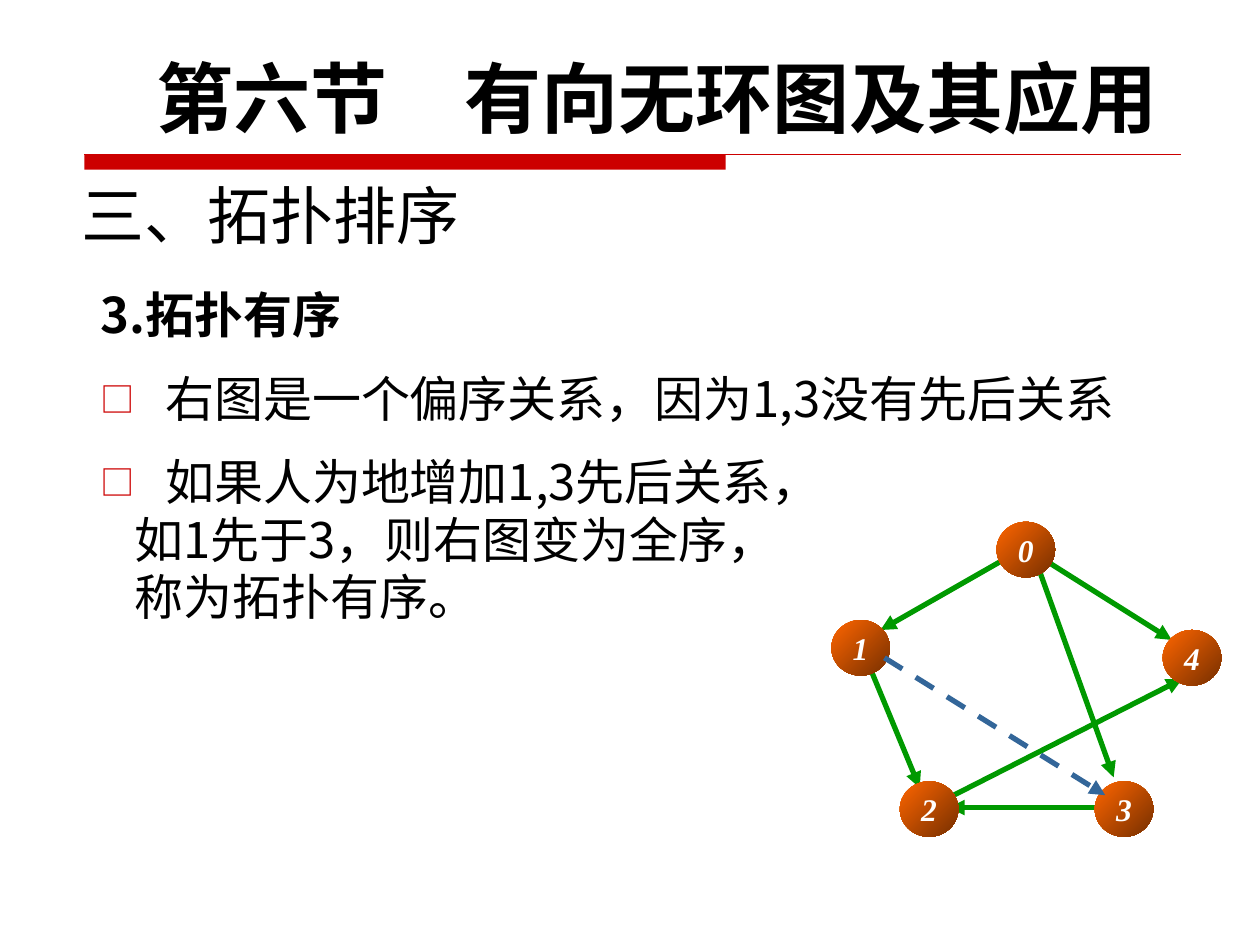
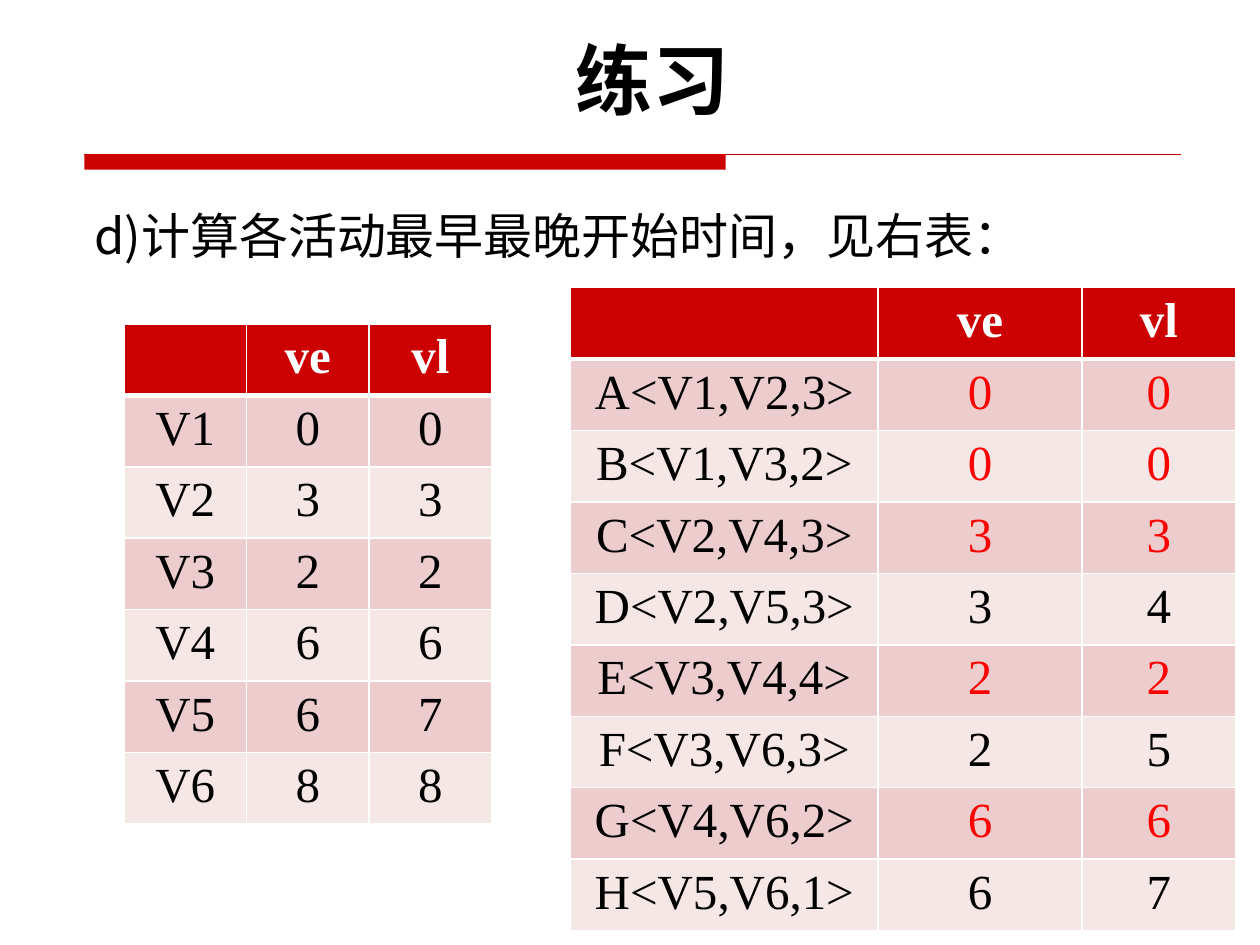
import pptx
import pptx.dml.color
import pptx.enum.dml
import pptx.enum.shapes
import pptx.enum.text
import pptx.oxml
import pptx.oxml.ns
import pptx.util

Cm = pptx.util.Cm
Pt = pptx.util.Pt
RGBColor = pptx.dml.color.RGBColor
Anchor = pptx.enum.text.MSO_ANCHOR
Align = pptx.enum.text.PP_ALIGN
Connector = pptx.enum.shapes.MSO_CONNECTOR
Shape = pptx.enum.shapes.MSO_SHAPE

BLACK = RGBColor(0x00, 0x00, 0x00)
WHITE = RGBColor(0xFF, 0xFF, 0xFF)
RED = RGBColor(0xCC, 0x00, 0x00)
CRITICAL_RED = RGBColor(0xFF, 0x00, 0x00)
GREEN = RGBColor(0x00, 0x99, 0x00)
BLUE = RGBColor(0x33, 0x66, 0x99)
ORANGE = RGBColor(0xFF, 0x66, 0x00)
BROWN = RGBColor(0x76, 0x2F, 0x00)
ROW_FILLS = [RGBColor(0xEC, 0xCC, 0xCC), RGBColor(0xF6, 0xE7, 0xE7)]

NAMESPACE = pptx.oxml.ns.nsdecls("a")
TITLE = {"name": "Lato", "size": Pt(44), "bold": True}
HEADING = {"name": "Noto Sans CJK SC", "size": Pt(36), "bold": False}
BODY = {"name": "Noto Sans CJK SC", "size": Pt(28), "bold": False}
BODY_BOLD = {**BODY, "bold": True}
NODE = {"name": "Times New Roman", "size": Pt(18), "bold": True, "italic": True}
CELL = {"name": "Times New Roman", "size": Pt(28), "bold": False}
HEADER_CELL = {**CELL, "bold": True}


def write(paragraph, text, font_format, color=BLACK, **paragraph_format):
    """Put one formatted run in a paragraph and set paragraph attributes."""
    run = paragraph.add_run()
    run.text = text
    for name, value in font_format.items():
        setattr(run.font, name, value)
    run.font.color.rgb = color
    run.font._element.append(pptx.oxml.parse_xml(
        f'<a:ea {NAMESPACE} typeface="{font_format["name"]}"/>'))
    for name, value in paragraph_format.items():
        setattr(paragraph, name, value)


def draw_line(shapes, start, end, color, width, dashed=False, arrow=True):
    """Draw a straight connector without shadow, by default with an arrowhead."""
    line = shapes.add_connector(
        Connector.STRAIGHT, *(Cm(value) for value in (*start, *end)))
    line.line.color.rgb = color
    line.line.width = Pt(width)
    if dashed:
        line.line.dash_style = pptx.enum.dml.MSO_LINE.DASH
    if arrow:
        line.line._get_or_add_ln().append(
            pptx.oxml.parse_xml(f'<a:tailEnd {NAMESPACE} type="triangle"/>'))
    line._element.spPr.append(pptx.oxml.parse_xml(f"<a:effectLst {NAMESPACE}/>"))
    return line


presentation = pptx.Presentation()
presentation.slide_width = Cm(25.4)
presentation.slide_height = Cm(19.05)
layout = presentation.slide_layouts[1]

# Slides with their titles and body frames: left, top, width, height
slides = []
for title, title_box, body_box in [
    ("第六节　有向无环图及其应用", (1.5, 0.89, 23.5, 2.13), (1.78, 5.64, 24.33, 7.7)),
    ("练习", (1.4, 0.53, 23.5, 2.13), (1.65, 4.04, 23.3, 1.5)),
]:
    slide = presentation.slides.add_slide(layout)
    for placeholder, box in zip(slide.placeholders, (title_box, body_box)):
        placeholder.left, placeholder.top, placeholder.width, placeholder.height = map(Cm, box)
        placeholder.text_frame.vertical_anchor = Anchor.TOP
        placeholder.text_frame.auto_size = pptx.enum.text.MSO_AUTO_SIZE.NONE
    write(slide.shapes.title.text_frame.paragraphs[0], title, TITLE,
          alignment=Align.CENTER, line_spacing=Pt(53))
    slides.append(slide)
graph_slide, exercise_slide = slides

# Red band under the title, moved to the shared layout
band = graph_slide.shapes.add_shape(
    Shape.RECTANGLE, Cm(1.7), Cm(3.12), Cm(12.93), Cm(0.3))
band.shadow.inherit = False
band.fill.solid()
band.fill.fore_color.rgb = RED
band.line.fill.background()
rule = draw_line(graph_slide.shapes, (1.7, 3.12), (23.8, 3.12), RED, 0.75, arrow=False)
first_placeholder = layout.placeholders[0].element
for shape in (band, rule):
    first_placeholder.addprevious(shape.element)

# Body text; each line has text, font, left margin, first-line indent, space, bullet
topological_lines = [
    ("3.拓扑有序", BODY_BOLD, 0, 0, 0, False),
    ("右图是一个偏序关系，因为1,3没有先后关系", BODY, 1.3, -1.3, 14.5, True),
    ("如果人为地增加1,3先后关系，", BODY, 1.3, -1.3, 14.5, True),
    ("如1先于3，则右图变为全序，", BODY, 0.68, 0, 0, False),
    ("称为拓扑有序。", BODY, 0.68, 0, 0, False),
]
exercise_lines = [("d)计算各活动最早最晚开始时间，见右表：", BODY, 0, 0, 0, False)]
for slide, lines in zip(slides, (topological_lines, exercise_lines)):
    frame = slide.placeholders[1].text_frame
    for index, (text, font_format, margin, indent, space, bullet) in enumerate(lines):
        paragraph = frame.add_paragraph() if index else frame.paragraphs[0]
        write(paragraph, text, font_format, line_spacing=Pt(33), space_before=Pt(space))
        properties = paragraph._p.get_or_add_pPr()
        properties.set("marL", str(Cm(margin)))
        properties.set("indent", str(Cm(indent)))
        marks = ["<a:buNone {}/>"]
        if bullet:
            marks = [f'<a:buClr {{}}><a:srgbClr val="{RED}"/></a:buClr>',
                     '<a:buSzPct {} val="70000"/>',
                     '<a:buFont {} typeface="Noto Sans CJK SC"/>',
                     '<a:buChar {} char="□"/>']
        for mark in marks:
            properties.append(pptx.oxml.parse_xml(mark.format(NAMESPACE)))

# Section heading
heading = graph_slide.shapes.add_textbox(Cm(1.4), Cm(3.3), Cm(23.5), Cm(1.9))
heading.text_frame.word_wrap = True
heading.text_frame.vertical_anchor = Anchor.BOTTOM
write(heading.text_frame.paragraphs[0], "三、拓扑排序", HEADING, line_spacing=Pt(43))

# Directed graph
graph = graph_slide.shapes.add_group_shape()
for start, end in [
    ((21.08, 11.3), (23.62, 12.9)),    # 0 to 4
    ((17.55, 13.49), (18.54, 15.88)),  # 1 to 2
    ((20.5, 11.13), (17.75, 12.7)),    # 0 to 1
    ((20.88, 11.3), (22.45, 15.67)),   # 0 to 3
    ((22.07, 16.28), (19.13, 16.28)),  # 3 to 2
    ((19.13, 16.08), (23.83, 13.69)),  # 2 to 4
]:
    draw_line(graph.shapes, start, end, GREEN, 3)

for label, left, top in [("1", 16.76, 12.5), ("3", 22.07, 15.75), ("2", 18.14, 15.75),
                         ("4", 23.44, 12.7), ("0", 20.09, 10.52)]:
    node = graph.shapes.add_shape(Shape.OVAL, Cm(left), Cm(top), Cm(1.18), Cm(1.12))
    node.shadow.inherit = False
    node.line.fill.background()
    node.fill.gradient()
    node.fill.gradient_angle = 315
    for stop, color in zip(node.fill.gradient_stops, (ORANGE, BROWN)):
        stop.color.rgb = color
    frame = node.text_frame
    for name, value in {"margin_left": 0, "margin_right": 0, "word_wrap": False,
                        "vertical_anchor": Anchor.MIDDLE}.items():
        setattr(frame, name, value)
    write(frame.paragraphs[0], label, NODE, WHITE, alignment=Align.CENTER)

draw_line(graph.shapes, (17.83, 13.26), (22.28, 16.03), BLUE, 3, dashed=True)

# Tables of earliest and latest times; critical activities are red
activities = [
    ("A<V1,V2,3>", 0, 0), ("B<V1,V3,2>", 0, 0), ("C<V2,V4,3>", 3, 3),
    ("D<V2,V5,3>", 3, 4), ("E<V3,V4,4>", 2, 2), ("F<V3,V6,3>", 2, 5),
    ("G<V4,V6,2>", 6, 6), ("H<V5,V6,1>", 6, 7),
]
events = [("V1", 0, 0), ("V2", 3, 3), ("V3", 2, 2), ("V4", 6, 6), ("V5", 6, 7), ("V6", 8, 8)]
row_height = Cm(1.44)
for records, left, top, widths, mark_critical in [
    (activities, 11.5, 5.8, (6.2, 4.11, 3.1), True),
    (events, 2.5, 6.53, (2.47, 2.47, 2.47), False),
]:
    rows = [("", "ve", "vl"), *records]
    table = exercise_slide.shapes.add_table(
        len(rows), 3, Cm(left), Cm(top), Cm(sum(widths)), row_height * len(rows)).table
    for column, width in zip(table.columns, widths):
        column.width = Cm(width)
    for row_index, row in enumerate(rows):
        table.rows[row_index].height = row_height
        is_header = row_index == 0
        for column_index, value in enumerate(row):
            cell = table.cell(row_index, column_index)
            cell.fill.solid()
            cell.fill.fore_color.rgb = RED if is_header else ROW_FILLS[(row_index - 1) % 2]
            color = WHITE if is_header else BLACK
            if mark_critical and column_index and not is_header and row[1] == row[2]:
                color = CRITICAL_RED
            if value != "":
                write(cell.text_frame.paragraphs[0], str(value),
                      HEADER_CELL if is_header else CELL, color, alignment=Align.CENTER)
            thick_side = {0: "B", 1: "T"}.get(row_index)
            for position, side in enumerate("LRTB"):
                width = Pt(3 if side == thick_side else 1)
                cell._tc.get_or_add_tcPr().insert(position, pptx.oxml.parse_xml(
                    f'<a:ln{side} {NAMESPACE} w="{width}"><a:solidFill>'
                    f'<a:srgbClr val="{WHITE}"/></a:solidFill></a:ln{side}>'))

presentation.save("out.pptx")
